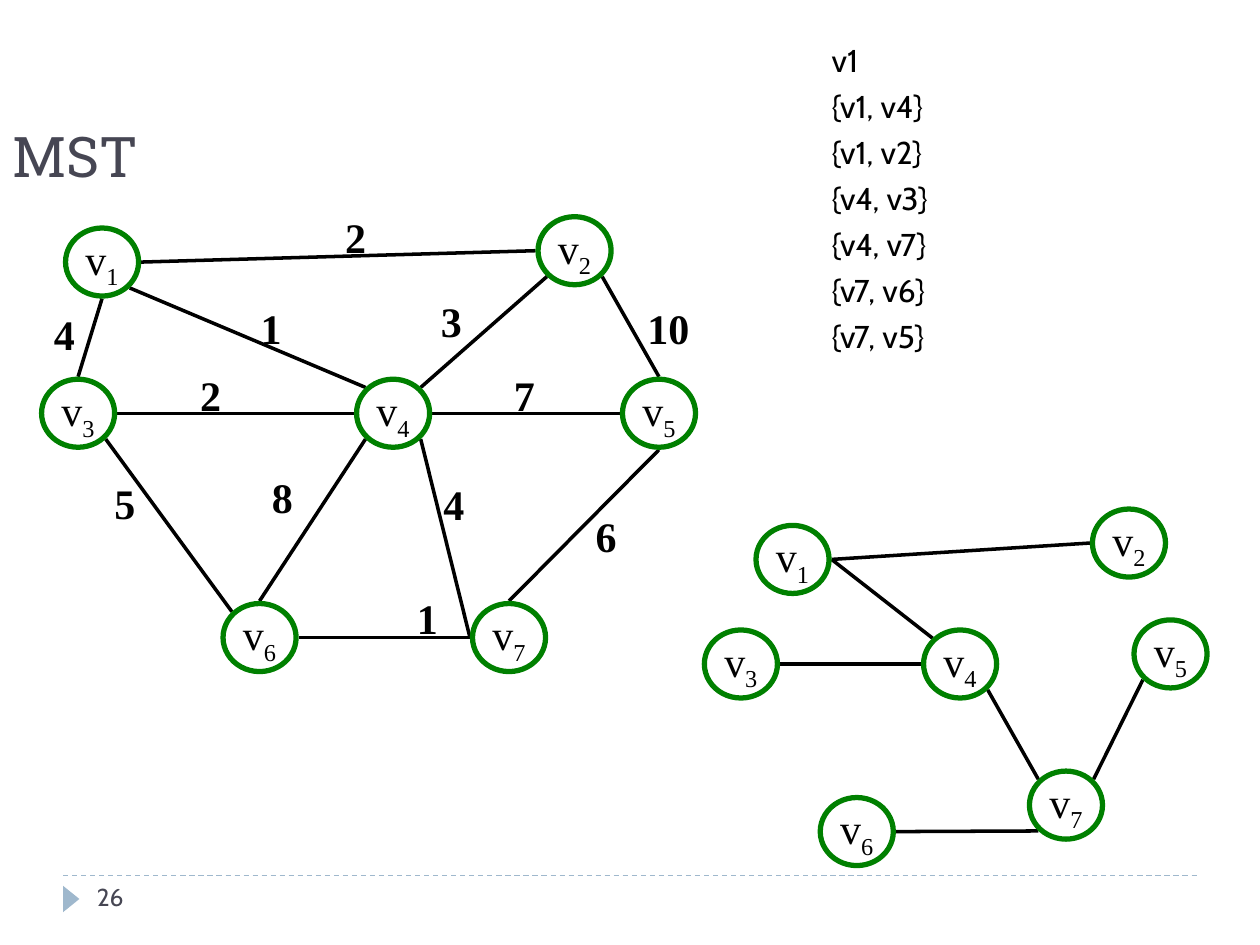
from lxml.etree import SubElement
from pptx import Presentation
from pptx.dml.color import RGBColor
from pptx.enum.dml import MSO_LINE
from pptx.enum.shapes import MSO_CONNECTOR, MSO_SHAPE
from pptx.enum.text import MSO_ANCHOR, MSO_AUTO_SIZE, PP_ALIGN
from pptx.oxml.ns import qn
from pptx.util import Inches, Pt

# Content
TITLE = "MST"
PAGE_NUMBER = "26"
STEPS = ["v1", "{v1, v4}", "{v1, v2}", "{v4, v3}", "{v4, v7}", "{v7, v6}", "{v7, v5}"]

# Node number: left, top in inches
GRAPH_NODES = {
    1: (0.52, 1.81), 2: (4.27, 1.72), 3: (0.33, 3.01), 4: (2.83, 3.01),
    5: (4.94, 3.01), 6: (1.77, 4.79), 7: (3.75, 4.79),
}
TREE_NODES = {
    1: (6, 4.17), 2: (8.67, 4.04), 3: (5.59, 5), 4: (7.33, 5),
    5: (9, 4.92), 6: (6.51, 6.33), 7: (8.17, 6.12),
}
# Start node, compass side, end node, compass side
GRAPH_EDGES = [
    (1, "SE", 4, "NW"), (4, "SE", 7, "W"), (4, "E", 5, "W"), (6, "E", 7, "W"),
    (1, "S", 3, "N"), (3, "SE", 6, "NW"), (4, "SW", 6, "N"), (5, "N", 2, "SE"),
    (3, "E", 4, "W"), (2, "W", 1, "E"), (4, "NE", 2, "SW"), (7, "N", 5, "S"),
]
TREE_EDGES = [
    (1, "E", 4, "NW"), (2, "W", 1, "E"), (3, "E", 4, "W"),
    (4, "SE", 7, "NW"), (7, "NE", 5, "SW"), (6, "E", 7, "SW"),
]
# Weight, left, top
WEIGHTS = [
    ("2", 1.49, 2.88), ("2", 2.64, 1.63), ("5", 0.81, 3.74), ("4", 0.33, 2.4),
    ("7", 3.98, 2.88), ("1", 1.97, 2.35), ("10", 5.04, 2.35), ("4", 3.42, 3.75),
    ("6", 4.63, 4), ("3", 3.4, 2.3), ("8", 2.06, 3.69), ("1", 3.21, 4.65),
]

# Style
BODY_FONT, TITLE_FONT, GRAPH_FONT = "Cabin", "Roboto Slab", "Times New Roman"
BLACK, GREEN, SLATE, BLUE = "000000", "008000", "464653", "9FB8CD"
NODE_WIDTH, NODE_HEIGHT, NODE_GAP = 0.58, 0.54, 0.02
DIAGONAL = 0.5 ** 0.5


def color(value):
    return RGBColor.from_string(value)


def set_font(font, name, size, value, bold=False):
    font.name, font.size, font.bold = name, Pt(size), bold
    font.color.rgb = color(value)


def place(shape, left, top, width, height):
    shape.left, shape.top = Inches(left), Inches(top)
    shape.width, shape.height = Inches(width), Inches(height)


def add_line(slide, start, end, value, width):
    points = [Inches(length) for length in (*start, *end)]
    line = slide.shapes.add_connector(MSO_CONNECTOR.STRAIGHT, *points)
    line.line.color.rgb, line.line.width = color(value), Pt(width)
    SubElement(line._element.spPr, qn("a:effectLst"))
    return line


def add_label(slide, text, left, top, width, height, *font_settings):
    box = slide.shapes.add_textbox(*map(Inches, (left, top, width, height)))
    paragraph = box.text_frame.paragraphs[0]
    paragraph.text = text
    set_font(paragraph.font, *font_settings)
    return box


def add_node(slide, number, left, top):
    bounds = map(Inches, (left, top, NODE_WIDTH, NODE_HEIGHT))
    node = slide.shapes.add_shape(MSO_SHAPE.OVAL, *bounds)
    node.shadow.inherit = False
    node.fill.background()
    node.line.color.rgb, node.line.width = color(GREEN), Pt(3)
    frame = node.text_frame
    frame.word_wrap, frame.vertical_anchor = False, MSO_ANCHOR.MIDDLE
    paragraph = frame.paragraphs[0]
    paragraph.alignment = PP_ALIGN.CENTER
    set_font(paragraph.font, GRAPH_FONT, 24, BLACK)
    paragraph.add_run().text = "v"
    subscript = paragraph.add_run()
    subscript.text = str(number)
    subscript._r.get_or_add_rPr().set("baseline", "-25000")


def edge_point(position, side):
    """Point just outside a node's outline, in a compass direction."""
    horizontal = ("E" in side) - ("W" in side)
    vertical = ("S" in side) - ("N" in side)
    scale = DIAGONAL if horizontal and vertical else 1
    return (
        position[0] + NODE_WIDTH / 2 + horizontal * scale * (NODE_WIDTH / 2 + NODE_GAP),
        position[1] + NODE_HEIGHT / 2 + vertical * scale * (NODE_HEIGHT / 2 + NODE_GAP),
    )


def add_graph(slide, nodes, edges):
    for start, start_side, end, end_side in edges:
        add_line(slide, edge_point(nodes[start], start_side),
                 edge_point(nodes[end], end_side), BLACK, 2)
    for number, position in nodes.items():
        add_node(slide, number, *position)


def add_footer(slide):
    rule = add_line(slide, (0.5, 6.95), (9.5, 6.95), BLUE, 0.75)
    rule.line.dash_style = MSO_LINE.DASH
    marker = slide.shapes.add_shape(
        MSO_SHAPE.ISOSCELES_TRIANGLE, *map(Inches, (0.46, 7.07, 0.21, 0.13)))
    marker.rotation = 90
    marker.shadow.inherit = False
    marker.fill.solid()
    marker.fill.fore_color.rgb = color(BLUE)
    marker.line.fill.background()
    add_label(slide, PAGE_NUMBER, 0.67, 6.95, 2.17, 0.4, BODY_FONT, 14, SLATE)


def fill_title(title):
    place(title, 0, 0.3, 9, 1.25)
    title.text_frame.text = TITLE
    title.text_frame.vertical_anchor = MSO_ANCHOR.BOTTOM
    paragraph = title.text_frame.paragraphs[0]
    paragraph.alignment = PP_ALIGN.LEFT
    set_font(paragraph.font, TITLE_FONT, 32, SLATE)


def fill_steps(body):
    place(body, 6.5, 0.33, 3, 2.97)
    frame = body.text_frame
    frame.text = "\n".join(STEPS)
    frame.auto_size = MSO_AUTO_SIZE.NONE
    for paragraph in frame.paragraphs:
        paragraph.line_spacing, paragraph.space_before = 0.8, Pt(9)
        set_font(paragraph.font, BODY_FONT, 18, BLACK)
        properties = paragraph._p.get_or_add_pPr()
        properties.set("marL", "0")
        properties.set("indent", "0")
        # The bullet setting comes before the default run properties
        bullet = SubElement(properties, qn("a:buNone"))
        properties.find(qn("a:defRPr")).addprevious(bullet)


def main():
    presentation = Presentation()
    presentation.slide_width, presentation.slide_height = Inches(10), Inches(7.5)
    slide = presentation.slides.add_slide(presentation.slide_layouts[1])

    add_footer(slide)
    fill_title(slide.shapes.title)
    fill_steps(slide.placeholders[1])

    # Weighted graph and its minimum spanning tree
    add_graph(slide, GRAPH_NODES, GRAPH_EDGES)
    for weight, left, top in WEIGHTS:
        width = 0.21 + 0.16 * len(weight)
        label = add_label(slide, weight, left, top, width, 0.5, GRAPH_FONT, 24, BLACK, True)
        label.text_frame.auto_size = MSO_AUTO_SIZE.SHAPE_TO_FIT_TEXT
        label.text_frame.word_wrap = False
    add_graph(slide, TREE_NODES, TREE_EDGES)

    presentation.save("out.pptx")


if __name__ == "__main__":
    main()
